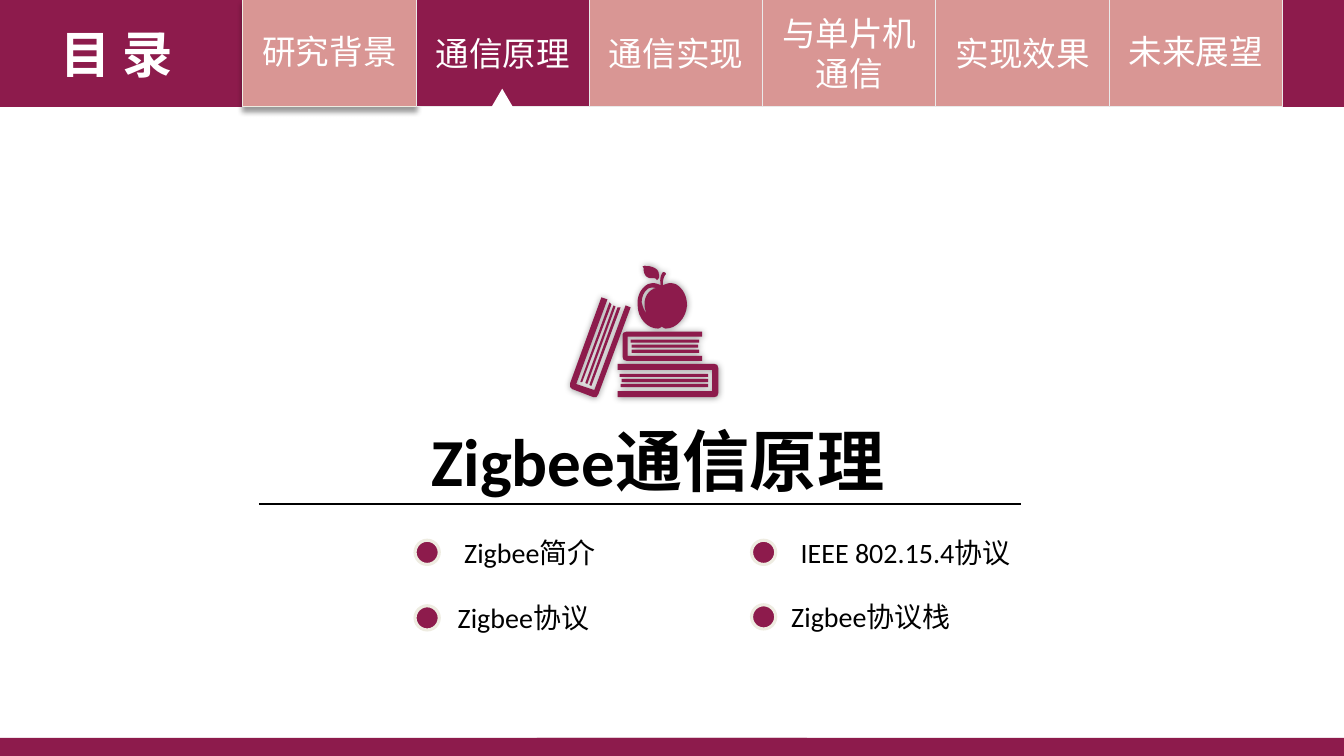
from lxml import etree
from pptx import Presentation
from pptx.dml.color import RGBColor
from pptx.enum.shapes import MSO_CONNECTOR, MSO_SHAPE
from pptx.enum.text import MSO_ANCHOR, MSO_AUTO_SIZE, PP_ALIGN
from pptx.oxml.ns import qn
from pptx.util import Inches, Pt

RECTANGLE, TRIANGLE, OVAL = MSO_SHAPE.RECTANGLE, MSO_SHAPE.ISOSCELES_TRIANGLE, MSO_SHAPE.OVAL
STRAIGHT = MSO_CONNECTOR.STRAIGHT
CENTER, MIDDLE = PP_ALIGN.CENTER, MSO_ANCHOR.MIDDLE
GROW = MSO_AUTO_SIZE.SHAPE_TO_FIT_TEXT

WINE = RGBColor(0x8D, 0x1B, 0x4C)
ROSE = RGBColor(0xD9, 0x96, 0x94)
CREAM = RGBColor(0xEE, 0xEC, 0xE1)
PALE_GRAY = RGBColor(0xEA, 0xEA, 0xEA)
WHITE = RGBColor(0xFF, 0xFF, 0xFF)
BLACK = RGBColor(0, 0, 0)

BAR_HEIGHT = 1.06
TAB_LEFT, TAB_WIDTH = 2.41, 1.72
RAISED = {"line_spacing": 0.9, "space_before": Pt(10)}
# Label, fill, border, paragraph format
TABS = [
    ("研究背景", ROSE, CREAM, RAISED),
    ("通信原理", WINE, PALE_GRAY, {}),
    ("通信实现", ROSE, PALE_GRAY, {}),
    ("与单片机通信", ROSE, PALE_GRAY, {}),
    ("实现效果", ROSE, PALE_GRAY, {}),
    ("未来展望", ROSE, PALE_GRAY, RAISED),
]

# Label, dot left, dot top, text left, text width
TOPICS = [
    ("Zigbee协议栈", 7.46, 6.0, 7.69, 1.91),
    ("Zigbee协议", 4.12, 6.01, 4.24, 1.91),
    ("IEEE 802.15.4协议", 7.46, 5.36, 7.69, 2.6),
    ("Zigbee简介", 4.12, 5.36, 3.96, 2.6),
]

# Book outlines: straight-sided contours
BOOK_COVERS = [
    [(6.23, 3.34), (6.23, 3.53), (6.97, 3.53), (6.97, 3.58), (6.22, 3.58), (6.19, 3.57),
     (6.18, 3.54), (6.18, 3.32), (6.19, 3.3), (6.22, 3.29), (6.97, 3.29), (6.97, 3.34)],
    [(7.07, 3.67), (7.07, 3.88), (6.13, 3.88), (6.13, 3.94), (7.09, 3.94), (7.12, 3.93),
     (7.13, 3.9), (7.13, 3.65), (7.12, 3.62), (7.09, 3.61), (6.13, 3.61), (6.13, 3.67)],
    [(5.72, 3.81), (5.9, 3.87), (6.21, 3.03), (6.26, 3.05), (5.94, 3.91), (5.92, 3.94),
     (5.89, 3.94), (5.68, 3.86), (5.66, 3.84), (5.66, 3.8), (5.97, 2.95), (6.03, 2.97)],
]
LEANING_PAGES = [
    [(6.13, 3.05), (5.85, 3.82), (5.87, 3.83), (6.16, 3.05)],
    [(6.09, 3.03), (5.81, 3.8), (5.83, 3.81), (6.11, 3.04)],
    [(6.05, 3.0), (5.76, 3.79), (5.78, 3.79), (6.07, 3.02)],
]
# Left, right, top of the page lines in the two lying books
LYING_PAGES = [(6.26, 6.94, 3.37), (6.27, 6.93, 3.42), (6.27, 6.94, 3.47),
               (6.15, 7.03, 3.71), (6.17, 7.03, 3.76), (6.16, 7.03, 3.81)]
PAGE_THICKNESS = 0.03

# Apple: a start point, then three Bezier points per curve
APPLE_LEAF = [
    (6.45, 2.76), (6.42, 2.75), (6.41, 2.74), (6.4, 2.72), (6.39, 2.7), (6.39, 2.69), (6.39, 2.67),
    (6.39, 2.65), (6.38, 2.65), (6.38, 2.64), (6.38, 2.64), (6.38, 2.64), (6.39, 2.64),
    (6.4, 2.64), (6.4, 2.63), (6.41, 2.64), (6.42, 2.64), (6.44, 2.64), (6.44, 2.64),
    (6.49, 2.65), (6.54, 2.67), (6.54, 2.72), (6.55, 2.74), (6.54, 2.77), (6.52, 2.78),
    (6.51, 2.75), (6.47, 2.76), (6.45, 2.76)]
APPLE_SHINE = [
    (6.51, 2.86), (6.49, 2.85), (6.47, 2.85), (6.44, 2.86), (6.39, 2.89), (6.37, 2.95), (6.37, 3.0),
    (6.38, 3.04), (6.39, 3.08), (6.42, 3.11), (6.41, 3.09), (6.4, 3.06), (6.4, 3.04),
    (6.39, 2.97), (6.42, 2.9), (6.48, 2.87), (6.49, 2.86), (6.5, 2.86), (6.51, 2.86)]
APPLE_BODY = [
    (6.71, 2.82), (6.78, 2.86), (6.82, 2.94), (6.82, 3.03), (6.81, 3.16), (6.71, 3.26), (6.61, 3.26),
    (6.6, 3.26), (6.58, 3.25), (6.57, 3.24), (6.56, 3.25), (6.54, 3.26), (6.53, 3.26),
    (6.43, 3.26), (6.33, 3.16), (6.33, 3.03), (6.32, 2.94), (6.36, 2.86), (6.43, 2.82),
    (6.49, 2.8), (6.51, 2.81), (6.56, 2.83), (6.55, 2.79), (6.55, 2.74), (6.58, 2.7),
    (6.59, 2.7), (6.61, 2.7), (6.61, 2.72), (6.58, 2.75), (6.58, 2.8), (6.58, 2.83),
    (6.63, 2.81), (6.65, 2.8), (6.71, 2.82)]
CURVE_STEPS = 8


def paint(shape, fill, border=None, border_width=0.75):
    shape.shadow.inherit = False
    shape.fill.solid()
    shape.fill.fore_color.rgb = fill
    if border is None:
        shape.line.fill.background()
    else:
        shape.line.color.rgb = border
        shape.line.width = Pt(border_width)


def add_block(shapes, kind, box, fill, border=None, border_width=0.75):
    shape = shapes.add_shape(kind, *map(Inches, box))
    paint(shape, fill, border, border_width)
    return shape


def add_shadow(shape, blur, distance, direction):
    effects = shape._element.spPr.find(qn("a:effectLst"))
    shadow = etree.SubElement(effects, qn("a:outerShdw"), blurRad=str(Pt(blur)), dist=str(Pt(distance)),
                              dir=str(direction * 60000), algn="ctr", rotWithShape="0")
    color = etree.SubElement(shadow, qn("a:srgbClr"), val=str(BLACK))
    etree.SubElement(color, qn("a:alpha"), val="40000")


def write_text(shape, text, size, color, bold=False, layout=None):
    shape.text_frame.word_wrap = True
    paragraph = shape.text_frame.paragraphs[0]
    for name, value in {"alignment": CENTER, **(layout or {})}.items():
        setattr(paragraph, name, value)
    run = paragraph.add_run()
    run.text = text
    for name, value in {"name": "Calibri", "size": Pt(size), "bold": bold}.items():
        setattr(run.font, name, value)
    run.font.color.rgb = color


def add_label(shapes, box, text, size, color, bold=False):
    label = shapes.add_textbox(*map(Inches, box))
    write_text(label, text, size, color, bold)
    label.text_frame.auto_size = GROW


def add_tab(shapes, index, text, fill, border, layout):
    box = (TAB_LEFT + index * TAB_WIDTH, 0, TAB_WIDTH, BAR_HEIGHT)
    tab = add_block(shapes, RECTANGLE, box, fill, border)
    tab.text_frame.vertical_anchor = MIDDLE
    write_text(tab, text, 24, WHITE, layout=layout)
    return tab


def add_topic(shapes, text, dot_left, dot_top, text_left, text_width):
    group = shapes.add_group_shape()
    add_block(group.shapes, OVAL, (dot_left, dot_top, 0.24, 0.24), WINE, CREAM, 2.25)
    add_label(group.shapes, (text_left, dot_top - 0.1, text_width, 0.43), text, 20, BLACK)


def trace_curves(points):
    traced = [points[0]]
    for i in range(0, len(points) - 1, 3):
        controls = points[i:i + 4]
        for step in range(1, CURVE_STEPS + 1):
            t = step / CURVE_STEPS
            weights = ((1 - t) ** 3, 3 * t * (1 - t) ** 2, 3 * t * t * (1 - t), t ** 3)
            traced.append(tuple(sum(w * p[axis] for w, p in zip(weights, controls)) for axis in (0, 1)))
    return traced


def add_books_and_apple(shapes):
    pages = [[(left, top), (right, top), (right, top + PAGE_THICKNESS), (left, top + PAGE_THICKNESS)]
             for left, right, top in LYING_PAGES]
    apple = [trace_curves(points) for points in (APPLE_LEAF, APPLE_SHINE, APPLE_BODY)]
    contours = [[(Inches(x), Inches(y)) for x, y in contour]
                for contour in BOOK_COVERS + LEANING_PAGES + pages + apple]
    builder = shapes.build_freeform(*contours[0][0])
    for index, contour in enumerate(contours):
        if index:
            builder.move_to(*contour[0])
        builder.add_line_segments(contour[1:], close=True)
    icon = builder.convert_to_shape()
    paint(icon, WINE)
    add_shadow(icon, 5, 0, 0)


def add_rule(shapes, left, right, top):
    rule = shapes.add_connector(STRAIGHT, Inches(left), Inches(top), Inches(right), Inches(top))
    rule.line.color.rgb = BLACK
    rule.line.width = Pt(0.75)
    etree.SubElement(rule._element.spPr, qn("a:effectLst"))


def main():
    presentation = Presentation()
    presentation.slide_width, presentation.slide_height = Inches(13.34), Inches(7.5)
    shapes = presentation.slides.add_slide(presentation.slide_layouts[6]).shapes

    # Footer band
    for left in (0, 5.33):
        add_block(shapes, RECTANGLE, (left, 7.32, 8.01, 0.18), WINE)

    # Navigation bar
    add_block(shapes, RECTANGLE, (0, 0, TAB_LEFT, BAR_HEIGHT), WINE)
    add_label(shapes, (0.1, 0.18, 2.12, 0.71), "目 录", 36, WHITE, bold=True)
    add_block(shapes, RECTANGLE, (12.72, 0, 0.62, BAR_HEIGHT), WINE)
    tabs = [add_tab(shapes, index, *tab) for index, tab in enumerate(TABS)]
    add_shadow(tabs[0], 4, 3, 90)
    add_block(shapes, TRIANGLE, (4.68, 0.88, 0.61, 0.52), WHITE)

    # Section heading
    add_books_and_apple(shapes)
    add_label(shapes, (2.93, 4.11, 7.2, 0.91), "Zigbee通信原理", 48, BLACK, bold=True)
    add_rule(shapes, 2.57, 10.13, 5)

    # Topics
    for topic in TOPICS:
        add_topic(shapes, *topic)

    presentation.save("out.pptx")


if __name__ == "__main__":
    main()
